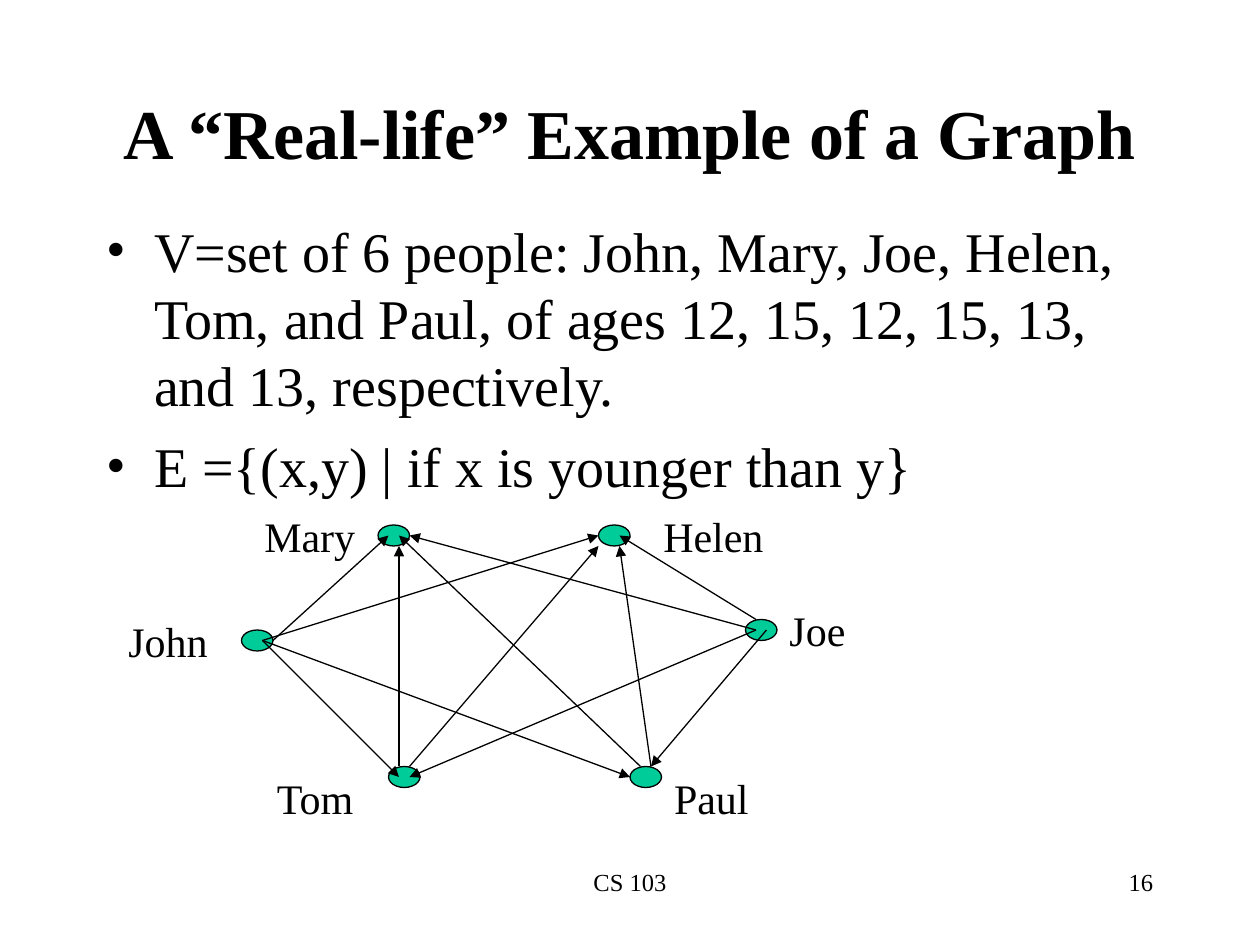
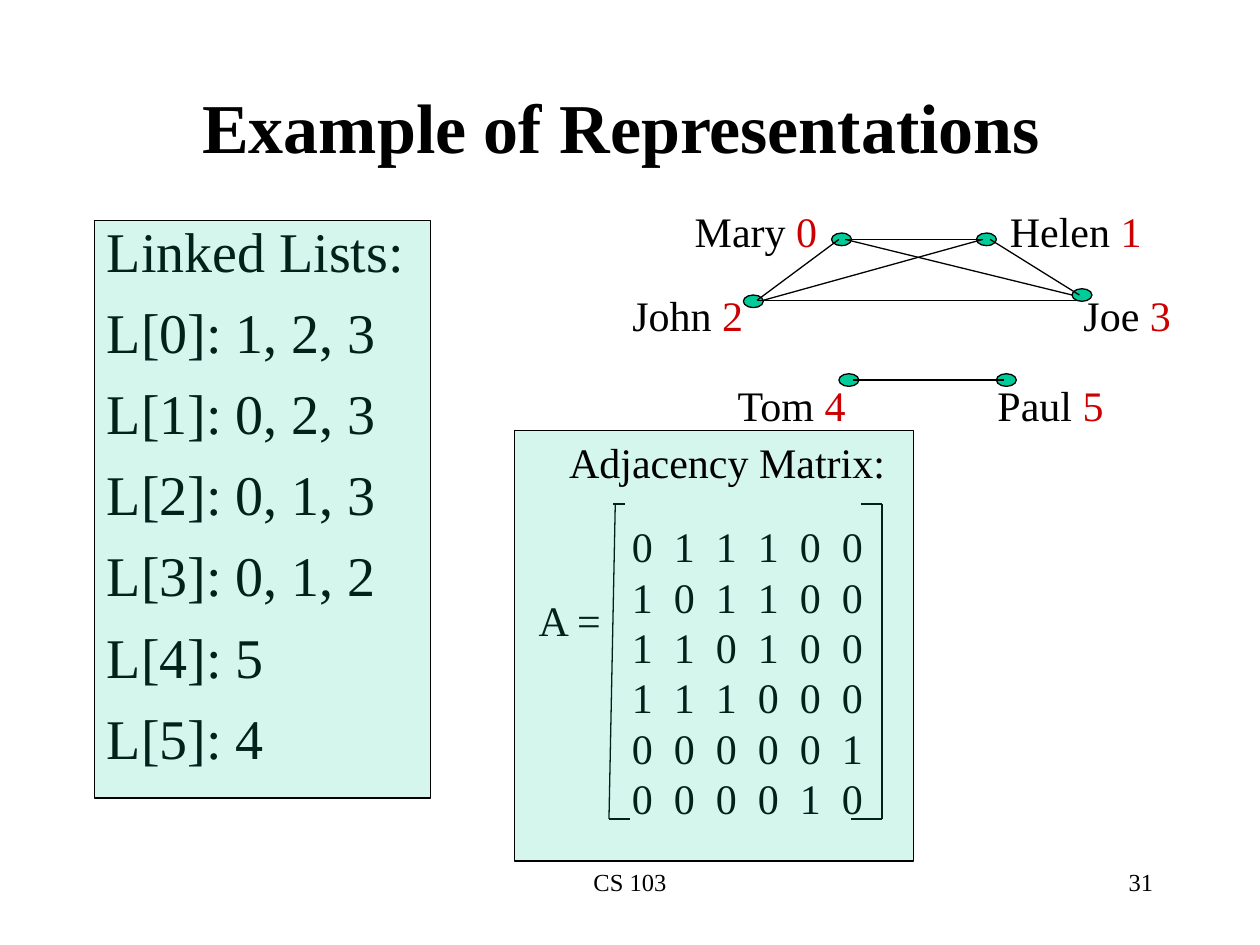
from lxml.etree import SubElement
from pptx import Presentation
from pptx.dml.color import RGBColor
from pptx.enum.shapes import MSO_CONNECTOR as Connector, MSO_SHAPE as Shape
from pptx.enum.text import MSO_ANCHOR as Anchor, MSO_AUTO_SIZE as AutoSize, PP_ALIGN as Align
from pptx.oxml.ns import qn
from pptx.util import Pt

PX = 7620
FONT = "Times New Roman"
COLORS = {name: RGBColor.from_string(value) for name, value in {
    "ink": "000000", "node": "00CC99", "index": "CC0000"}.items()}


def add_text(slide, box, lines, size, align=Align.CENTER, wrap=True, bold=False, before=0):
    shape = slide.shapes.add_textbox(*[value * PX for value in box])
    text_frame = shape.text_frame
    text_frame.word_wrap = wrap
    if not wrap:
        text_frame.auto_size = AutoSize.SHAPE_TO_FIT_TEXT
    text_frame.text = "\n".join(lines)
    for paragraph in text_frame.paragraphs:
        paragraph.alignment = align
        paragraph.space_before = Pt(before)
        font = paragraph.runs[0].font
        font.name, font.size, font.bold = FONT, Pt(size), bold
        font.color.rgb = COLORS["ink"]
    return shape


def add_line(slide, ends, arrow=False):
    line = slide.shapes.add_connector(Connector.STRAIGHT, *[value * PX for value in ends])
    line.line.width = Pt(0.75)
    line.line.color.rgb = COLORS["ink"]
    properties = line._element.spPr
    if arrow:
        SubElement(properties.find(qn("a:ln")), qn("a:tailEnd"), type="triangle")
    SubElement(properties, qn("a:effectLst"))


presentation = Presentation()
presentation.slide_width = 1200 * PX
presentation.slide_height = 900 * PX

BODY = (90, 200, 1020, 600)
LABEL_HEIGHT = 60

graphs = [
    {
        "title": "A “Real-life” Example of a Graph",
        "title_box": (90, 70, 1020, 110),
        "number": "16",
        "body": [
            "V=set of 6 people: John, Mary, Joe, Helen, Tom, and Paul, "
            "of ages 12, 15, 12, 15, 13, and 13, respectively.",
            "E ={(x,y) | if x is younger than y}",
        ],
        "bullets": True,
        "node_size": (30, 20),
        "nodes": [(230, 600), (360, 500), (370, 730), (600, 730), (710, 590), (570, 500)],
        "labels": [
            ("John", "", 108, 580, 104), ("Joe", "", 738, 570, 81),
            ("Mary", "", 238, 480, 114), ("Helen", "", 618, 480, 123),
            ("Tom", "", 248, 730, 104), ("Paul", "", 628, 730, 99),
        ],
        "arrows": True,
        "edges": [
            (260, 610, 370, 510), (250, 610, 570, 510), (720, 590, 590, 510),
            (720, 600, 390, 510), (250, 610, 380, 740), (250, 610, 600, 740),
            (720, 600, 390, 740), (730, 600, 620, 730), (380, 730, 380, 520),
            (620, 730, 590, 520), (390, 730, 570, 520), (610, 730, 380, 510),
        ],
    },
    {
        "title": "Example of Representations ",
        "title_box": (90, 80, 1020, 80),
        "number": "31",
        "body": ["Linked Lists:", "L[0]: 1, 2, 3", "L[1]: 0, 2, 3", "L[2]: 0, 1, 3",
                 "L[3]: 0, 1, 2", "L[4]: 5", "L[5]: 4"],
        "bullets": False,
        "node_size": (19, 12),
        "nodes": [(708, 281), (792, 222), (799, 356), (949, 356), (1021, 275), (930, 222)],
        "labels": [
            ("John ", "2", 588, 270, 134), ("Joe ", "3", 1018, 270, 111),
            ("Mary ", "0", 648, 190, 144), ("Helen ", "1", 948, 190, 153),
            ("Tom ", "4", 687, 356, 134), ("Paul ", "5", 936, 356, 129),
        ],
        "arrows": False,
        "edges": [
            (805, 228, 936, 228), (721, 286, 1028, 286), (721, 286, 799, 228),
            (943, 228, 1028, 281), (812, 362, 956, 362), (727, 286, 936, 228),
            (805, 228, 1021, 281),
        ],
    },
]

for graph in graphs:
    slide = presentation.slides.add_slide(presentation.slide_layouts[6])
    add_text(slide, (410, 820, 380, 60), ["CS 103"], 14)
    add_text(slide, (860, 820, 250, 60), [graph["number"]], 14, Align.RIGHT)
    title = add_text(slide, graph["title_box"], [graph["title"]], 40, bold=True)
    title.text_frame.vertical_anchor = Anchor.MIDDLE

    body = add_text(slide, BODY, graph["body"], 32, Align.LEFT, before=8)
    if graph["bullets"]:
        for paragraph in body.text_frame.paragraphs:
            properties = paragraph._p.get_or_add_pPr()
            properties.set("marL", str(45 * PX))
            properties.set("indent", str(-45 * PX))
            SubElement(properties, qn("a:buFont"), typeface=FONT)
            SubElement(properties, qn("a:buChar"), char="•")

    for position in graph["nodes"]:
        box = [value * PX for value in position + graph["node_size"]]
        node = slide.shapes.add_shape(Shape.OVAL, *box)
        node.shadow.inherit = False
        node.fill.solid()
        node.fill.fore_color.rgb = COLORS["node"]
        node.line.color.rgb = COLORS["ink"]
        node.line.width = Pt(0.75)

    for name, index, left, top, width in graph["labels"]:
        label = add_text(slide, (left, top, width, LABEL_HEIGHT), [name], 24, wrap=False)
        if index:
            run = label.text_frame.paragraphs[0].add_run()
            run.text = index
            run.font.name, run.font.size = FONT, Pt(24)
            run.font.color.rgb = COLORS["index"]

    for edge in graph["edges"]:
        add_line(slide, edge, graph["arrows"])

matrix = ["011100", "101100", "110100", "111000", "000001", "000010"]
matrix_text = add_text(slide, (590, 490, 250, 300), ["\t".join(row) for row in matrix],
                       24, Align.LEFT)
for paragraph in matrix_text.text_frame.paragraphs:
    tabs = SubElement(paragraph._p.get_or_add_pPr(), qn("a:tabLst"))
    for column in range(1, len(matrix)):
        SubElement(tabs, qn("a:tab"), pos=str(column * 40 * PX), algn="l")

for bracket_side in [
    (595, 480, 584, 480), (586, 480, 580, 780), (580, 780, 600, 780),
    (820, 480, 840, 480), (840, 480, 840, 780), (840, 780, 810, 780),
]:
    add_line(slide, bracket_side)
add_text(slide, (500, 560, 85, 60), ["A ="], 24, wrap=False)

for panel_box in [(490, 410, 380, 410), (90, 210, 320, 550)]:
    panel = slide.shapes.add_shape(Shape.RECTANGLE, *[value * PX for value in panel_box])
    panel.shadow.inherit = False
    panel.fill.solid()
    panel.fill.fore_color.rgb = COLORS["node"]
    panel.line.color.rgb = COLORS["ink"]
    panel.line.width = Pt(0.75)
    fill_color = panel._element.spPr.find(qn("a:solidFill")).find(qn("a:srgbClr"))
    SubElement(fill_color, qn("a:alpha"), val="17000")
add_text(slide, (530, 410, 325, 60), ["Adjacency Matrix:"], 24)

presentation.save("out.pptx")
